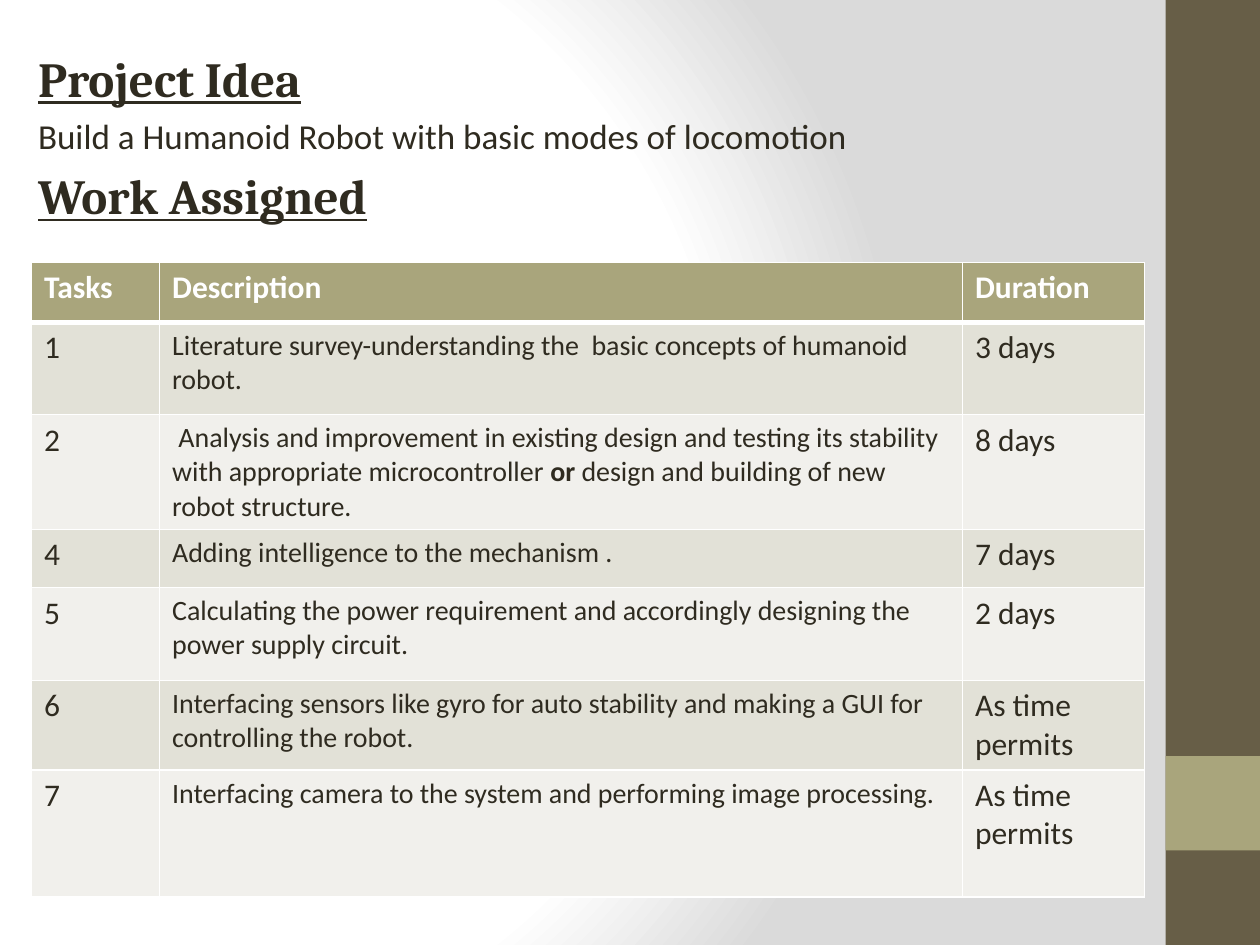
from pptx import Presentation
from pptx.dml.color import RGBColor
from pptx.enum.shapes import MSO_SHAPE
from pptx.oxml import parse_xml
from pptx.oxml.ns import nsdecls
from pptx.util import Pt

RECT = MSO_SHAPE.RECTANGLE
HEX = {"ink": "2F2B20", "white": "FFFFFF", "gray": "DADADA", "brown": "675E47",
       "olive": "A9A57C", "dark": "E2E1D7", "light": "F1F0EC"}

INTRO = [("Project Idea", "Cambria", 28, True),
         ("Build a Humanoid Robot with basic modes of locomotion", "Calibri", 20, False),
         ("Work Assigned", "Cambria", 28, True)]
BARS = [("brown", 0, 540), ("olive", 432, 54)]
HEAD = ("Tasks", ["Description"], "Duration")
TASKS = [
    ("1", ["Literature survey-understanding the  basic concepts of humanoid robot."], "3 days"),
    ("2", [" Analysis and improvement in existing design and testing its stability "
           "with appropriate microcontroller ", "or",
           " design and building of new robot structure."], "8 days"),
    ("4", ["Adding intelligence to the mechanism ."], "7 days"),
    ("5", ["Calculating the power requirement and accordingly designing the "
           "power supply circuit."], "2 days"),
    ("6", ["Interfacing sensors like gyro for auto stability and making a GUI for "
           "controlling the robot."], "As time permits"),
    ("7", ["Interfacing camera to the system and performing image processing."],
     "As time permits"),
]
COLS = [73.2, 458.8, 104]
ROWS = [34.2, 52.8, 65.7, 33.2, 53, 51.2, 72.7]


def rgb(name):
    return RGBColor.from_string(HEX[name])


def add_run(para, text, size, face="Calibri", tint="ink", bold=False, under=False):
    run = para.add_run()
    run.text = text
    font = run.font
    font.name, font.size, font.bold, font.underline = face, Pt(size), bold, under
    font.color.rgb = rgb(tint)


def add_edges(cell, base):
    props = cell._tc.get_or_add_tcPr()
    for i, (side, width) in enumerate([("L", 1), ("R", 1), ("T", 1), ("B", base)]):
        props.insert(i, parse_xml(
            f'<a:ln{side} {nsdecls("a")} w="{Pt(width)}"><a:solidFill>'
            f'<a:srgbClr val="{HEX["white"]}"/></a:solidFill></a:ln{side}>'))


deck = Presentation()
deck.slide_width, deck.slide_height = Pt(720), Pt(540)
slide = deck.slides.add_slide(deck.slide_layouts[6])
shapes = slide.shapes

stops = "".join(f'<a:gs pos="{pos * 1000}"><a:srgbClr val="{HEX[tint]}"/></a:gs>'
                for pos, tint in [(0, "white"), (75, "white"), (100, "gray")])
slide._element.cSld.insert(0, parse_xml(
    f'<p:bg {nsdecls("p", "a")}><p:bgPr><a:gradFill rotWithShape="1">'
    f'<a:gsLst>{stops}</a:gsLst><a:path path="circle">'
    '<a:fillToRect l="20000" t="50000" r="100000" b="50000"/></a:path>'
    '</a:gradFill><a:effectLst/></p:bgPr></p:bg>'))

for tint, top, height in BARS:
    bar = shapes.add_shape(RECT, Pt(666), Pt(top), Pt(54), Pt(height))
    bar.shadow.inherit = False
    bar.fill.solid()
    bar.fill.fore_color.rgb = rgb(tint)
    bar.line.fill.background()

frame = shapes.add_textbox(Pt(6), Pt(24), Pt(660), Pt(480)).text_frame
frame.word_wrap = True
for i, (text, face, size, strong) in enumerate(INTRO):
    para = frame.add_paragraph() if i else frame.paragraphs[0]
    props = para._p.get_or_add_pPr()
    props.set("marL", str(Pt(8.64)))
    props.set("indent", "0")
    props.append(parse_xml(
        f'<a:spcBef {nsdecls("a")}><a:spcPct val="20000"/></a:spcBef>'))
    add_run(para, text, size, face, bold=strong, under=strong)

grid = shapes.add_table(len(ROWS), len(COLS), Pt(18), Pt(150),
                        Pt(sum(COLS)), Pt(sum(ROWS))).table
for col, width in zip(grid.columns, COLS):
    col.width = Pt(width)
for r, (row, height) in enumerate(zip([HEAD] + TASKS, ROWS)):
    grid.rows[r].height = Pt(height)
    top = r == 0
    fill = "olive" if top else "dark" if r % 2 else "light"
    for c, item in enumerate(row):
        cell = grid.cell(r, c)
        cell.fill.solid()
        cell.fill.fore_color.rgb = rgb(fill)
        add_edges(cell, 3 if top or r == 0 else 1)
        size = 16 if c == 1 and not top else 18
        for n, part in enumerate(item if c == 1 else [item]):
            add_run(cell.text_frame.paragraphs[0], part, size,
                    tint="white" if top else "ink", bold=top or n == 1)

deck.save("out.pptx")
